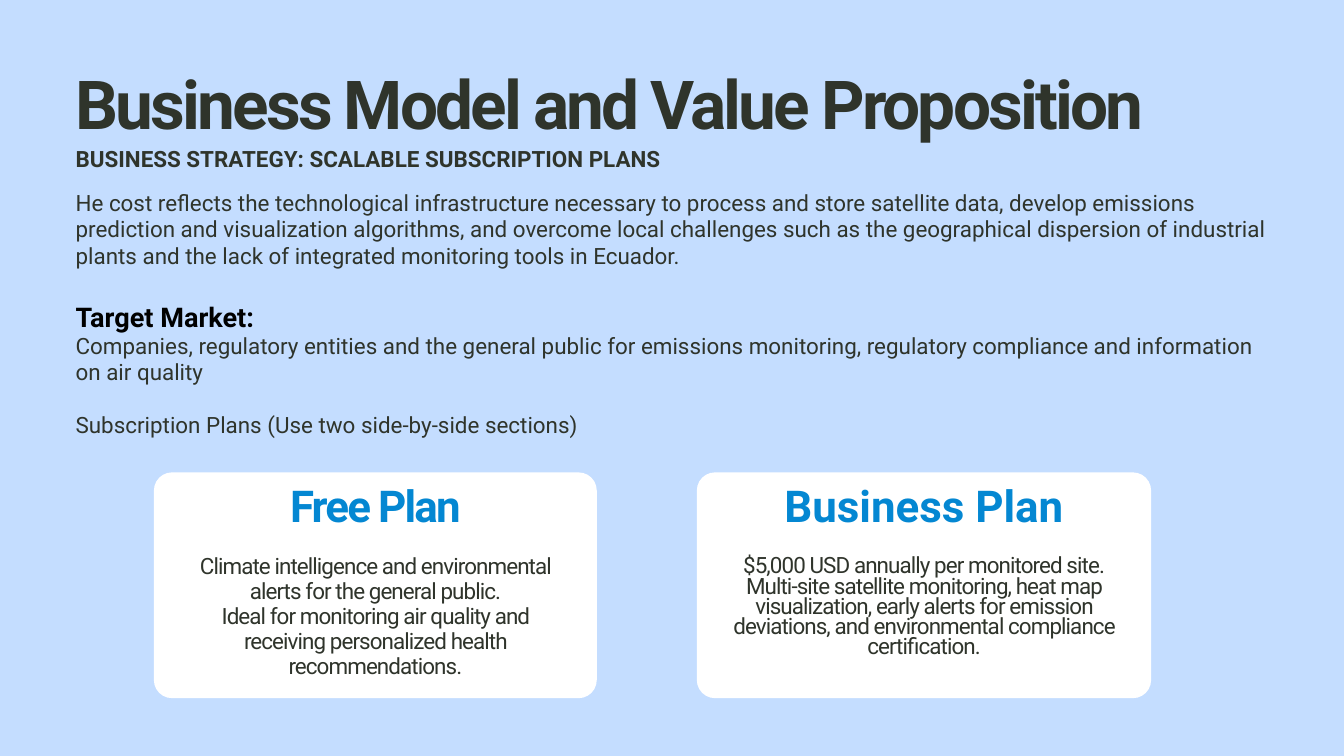
from dataclasses import dataclass

from pptx import Presentation
from pptx import util as u
from pptx.dml.color import RGBColor
from pptx.enum import shapes, text

SKY = RGBColor(0xC4, 0xDD, 0xFF)
WHITE = RGBColor(0xFF, 0xFF, 0xFF)
INK = RGBColor(0x2F, 0x34, 0x2B)
BLACK = RGBColor(0, 0, 0)
BLUE = RGBColor(0x04, 0x87, 0xD2)

FONT = "Roboto"
COLS, ROWS = 80, 45
CELL = 0.25  # inches
MARGIN = 4.5
RADIUS = 1.08
PAD_X, PAD_Y = 1.8, 0.6


@dataclass
class Box:
    """A place on the grid, in columns and rows."""
    col: float
    row: float
    wide: float
    high: float

    def place(self) -> list[int]:
        cells = (self.col, self.row, self.wide, self.high)
        return [u.Inches(n * CELL) for n in cells]


@dataclass
class Para:
    """A paragraph; size, line, gap and track are in points."""
    words: str
    line: float
    size: float = 24
    bold: bool = False
    color: RGBColor = INK
    gap: float = 0
    track: float = 0


@dataclass
class Plan:
    box: Box
    paras: list[Para]


TITLE = Para("Business Model and Value Proposition", 81, 72.3, True, track=-3.1)
STRATEGY = Para("BUSINESS STRATEGY: SCALABLE SUBSCRIPTION PLANS", 33.6, bold=True)
BODY = [
    Para("He cost reflects the technological infrastructure necessary to process "
         "and store satellite data, develop emissions prediction and visualization "
         "algorithms, and overcome local challenges such as the geographical "
         "dispersion of industrial plants and the lack of integrated monitoring "
         "tools in Ecuador.", 28.3),
    Para("Target Market:", 34.2, 29, True, BLACK, gap=34.2),
    Para("Companies, regulatory entities and the general public for emissions "
         "monitoring, regulatory compliance and information on air quality", 28.3),
    Para("Subscription Plans (Use two side-by-side sections)", 28.3, gap=28.3),
]
PLANS = [
    Plan(Box(9.16, 28.12, 26.36, 13.44), [
        Para("Free Plan", 52.6, 47, True, BLUE, track=-2),
        Para("Climate intelligence and environmental alerts for the general "
             "public.", 26.9, gap=23.5, track=-1),
        Para("Ideal for monitoring air quality and receiving personalized health "
             "recommendations.", 26.9, track=-1),
    ]),
    Plan(Box(41.48, 28.12, 27.04, 13.44), [
        Para("Business Plan", 52.2, 47, True, BLUE),
        Para("$5,000 USD annually per monitored site.", 21.6, gap=28.9, track=-1),
        Para("Multi-site satellite monitoring, heat map visualization, early "
             "alerts for emission deviations, and environmental compliance "
             "certification.", 21.6, track=-1),
    ]),
]


def write(slide, box: Box, paras: list[Para], align=text.PP_ALIGN.LEFT) -> None:
    frame = slide.shapes.add_textbox(*box.place()).text_frame
    frame.word_wrap = True
    frame.margin_left = frame.margin_right = 0
    frame.margin_top = frame.margin_bottom = 0
    for i, para in enumerate(paras):
        p = frame.add_paragraph() if i else frame.paragraphs[0]
        p.alignment = align
        p.line_spacing = u.Pt(para.line)
        p.space_before = u.Pt(para.gap)
        p.font.name = FONT
        p.font.size = u.Pt(para.size)
        p.font.bold = para.bold
        p.font.color.rgb = para.color
        run = p.add_run()
        run.text = para.words
        if para.track:
            run._r.get_or_add_rPr().set("spc", str(round(para.track * 100)))


def draw(slide, plan: Plan) -> None:
    """Draw a plan's white card with its centred text."""
    box = plan.box
    card = slide.shapes.add_shape(
        shapes.MSO_SHAPE.ROUNDED_RECTANGLE, *box.place())
    card.adjustments[0] = RADIUS / box.high
    card.shadow.inherit = False
    card.fill.solid()
    card.fill.fore_color.rgb = WHITE
    card.line.fill.background()
    inner = Box(box.col + PAD_X, box.row + PAD_Y,
                box.wide - 2 * PAD_X, box.high - 2 * PAD_Y)
    write(slide, inner, plan.paras, text.PP_ALIGN.CENTER)


def main() -> None:
    deck = Presentation()
    deck.slide_width = u.Inches(COLS * CELL)
    deck.slide_height = u.Inches(ROWS * CELL)
    slide = deck.slides.add_slide(deck.slide_layouts[6])
    fill = slide.background.fill
    fill.solid()
    fill.fore_color.rgb = SKY

    write(slide, Box(MARGIN, 4, 71, 4.5), [TITLE])
    for plan in PLANS:
        draw(slide, plan)
    write(slide, Box(MARGIN, 8.36, 37.5, 1.8), [STRATEGY])
    write(slide, Box(MARGIN, 11.28, 71.28, 14.6), BODY)
    deck.save("out.pptx")


if __name__ == "__main__":
    main()
